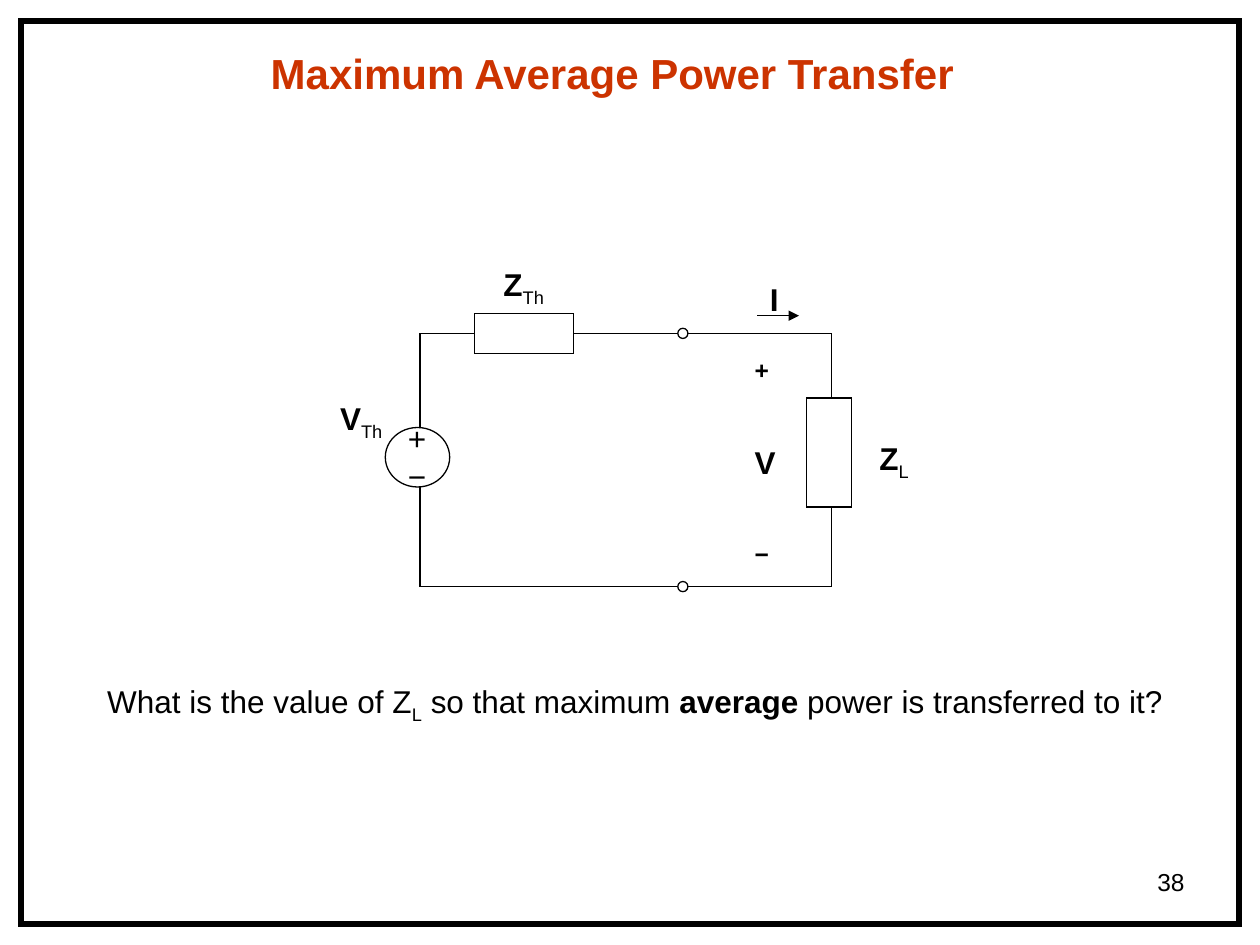
from lxml import etree
from pptx import Presentation
from pptx.dml.color import RGBColor
from pptx.enum.shapes import MSO_CONNECTOR, MSO_SHAPE
from pptx.enum.text import MSO_AUTO_SIZE, PP_ALIGN
from pptx.oxml.ns import qn
from pptx.util import Pt

RECTANGLE, OVAL = MSO_SHAPE.RECTANGLE, MSO_SHAPE.OVAL
STRAIGHT = MSO_CONNECTOR.STRAIGHT
LEFT, RIGHT = PP_ALIGN.LEFT, PP_ALIGN.RIGHT
FIT_SHAPE, FIXED = MSO_AUTO_SIZE.SHAPE_TO_FIT_TEXT, MSO_AUTO_SIZE.NONE

BLACK = RGBColor(0x00, 0x00, 0x00)
WHITE = RGBColor(0xFF, 0xFF, 0xFF)
RED = RGBColor(0xCC, 0x33, 0x00)


def add_span(para, text, size=18, bold=False, color=BLACK, subscript=False):
    span = para.add_run()
    span.text = text
    font = span.font
    font.name, font.size, font.bold = "Arial", Pt(size), bold
    font.color.rgb = color
    if subscript:
        span._r.get_or_add_rPr().set("baseline", "-25000")


class Page:
    """The current slide and its drawing style."""

    def __init__(self, slide, line_width=0.75):
        self.shapes = slide.shapes
        self.line_width = line_width

    def text(self, left, top, width, height, *lines, align=LEFT, wrap=False, gap=0):
        """Each line is a list of (text, format) pairs."""
        box = self.shapes.add_textbox(Pt(left), Pt(top), Pt(width), Pt(height))
        frame = box.text_frame
        frame.word_wrap = wrap
        frame.auto_size = FIXED if wrap else FIT_SHAPE
        for index, line in enumerate(lines):
            para = frame.add_paragraph() if index else frame.paragraphs[0]
            para.alignment = align
            if index and gap:
                para.space_before = Pt(gap)
            for text, style in line:
                add_span(para, text, **style)

    def symbol(self, left, top, width, name, index):
        """A bold quantity with a subscript index."""
        self.text(left, top, width, 31.7,
                  [(name, {"bold": True}), (index, {"subscript": True})])

    def shape(self, kind, left, top, width, height, fill=WHITE, line_width=None):
        shape = self.shapes.add_shape(kind, Pt(left), Pt(top), Pt(width), Pt(height))
        shape.shadow.inherit = False
        if fill is None:
            shape.fill.background()
        else:
            shape.fill.solid()
            shape.fill.fore_color.rgb = fill
        shape.line.color.rgb = BLACK
        shape.line.width = Pt(line_width or self.line_width)
        etree.SubElement(shape.line._get_or_add_ln(), qn("a:miter"), lim="800000")

    def arrow(self, x1, y1, x2, y2):
        arrow = self.shapes.add_connector(STRAIGHT, Pt(x1), Pt(y1), Pt(x2), Pt(y2))
        arrow.line.color.rgb = BLACK
        arrow.line.width = Pt(self.line_width)
        etree.SubElement(arrow.line._get_or_add_ln(), qn("a:tailEnd"), type="triangle")
        etree.SubElement(arrow._element.spPr, qn("a:effectLst"))


def main():
    deck = Presentation()
    deck.slide_width, deck.slide_height = Pt(720), Pt(540)
    page = Page(deck.slides.add_slide(deck.slide_layouts[6]))

    # Frame, title and page number
    page.shape(RECTANGLE, 12, 12, 696, 516, fill=None, line_width=3)
    page.text(147.6, 23.4, 408, 36,
              [("Maximum Average Power Transfer", {"size": 24, "bold": True, "color": RED})])
    page.text(516, 492, 168, 37.5, [("38", {"size": 14})], align=RIGHT, wrap=True)

    # Wire loop with its two terminals
    loop_left, loop_top, loop_width, loop_height = 240, 190.5, 235, 144.7
    page.shape(RECTANGLE, loop_left, loop_top, loop_width, loop_height, fill=None)
    terminal = 5.8
    for wire_y in (loop_top, loop_top + loop_height):
        page.shape(OVAL, 387.3, wire_y - terminal / 2, terminal, terminal)

    # Load, source and source impedance
    page.shape(RECTANGLE, 461, 227.4, 25.5, 62.4)
    page.shape(OVAL, 220.2, 244.3, 36.8, 34)
    page.shape(RECTANGLE, 271.2, 179.2, 56.6, 22.7)
    page.text(226, 236, 24.5, 50.4, [("+", {})], [("−", {})])
    page.symbol(495.4, 247.6, 32, "Z", "L")
    page.symbol(280.6, 148, 39, "Z", "Th")
    page.symbol(187.2, 224.6, 40, "V", "Th")

    # Load current and voltage
    page.arrow(432.8, 180.4, 456.6, 180.4)
    page.text(432.8, 156.3, 19.6, 28.8, [("I", {"bold": True})])
    sign = {"size": 14, "bold": True}
    page.text(424.2, 199.4, 26.2, 129.6,
              [("+", sign)], [("V", {"bold": True})], [("−", sign)], gap=33.4)

    # Question
    page.text(54.2, 386, 622, 31.7, [
        ("What is the value of Z", {}),
        ("L", {"subscript": True}),
        (" so that maximum ", {}),
        ("average", {"bold": True}),
        (" power is transferred to it?", {}),
    ])

    deck.save("out.pptx")


if __name__ == "__main__":
    main()
